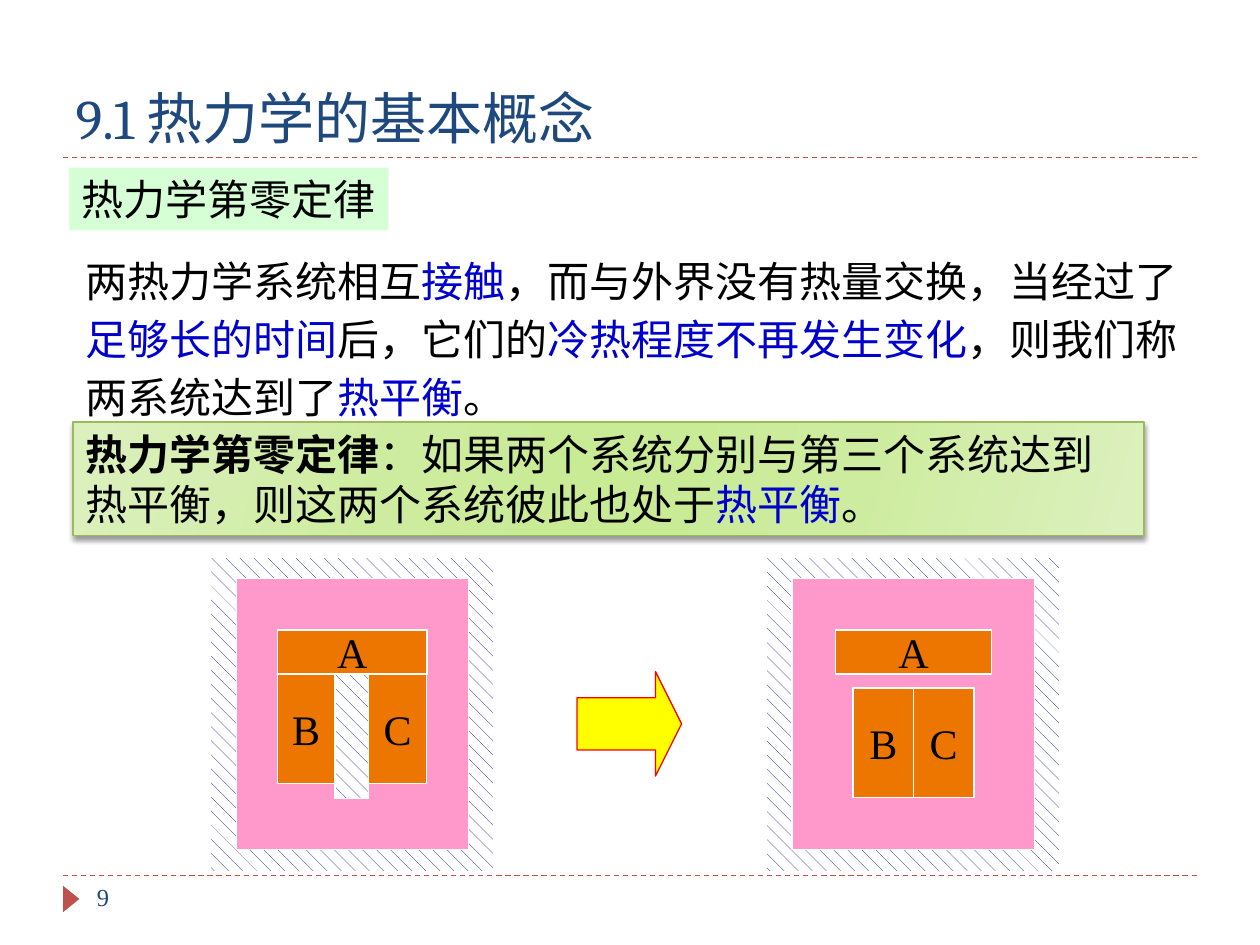
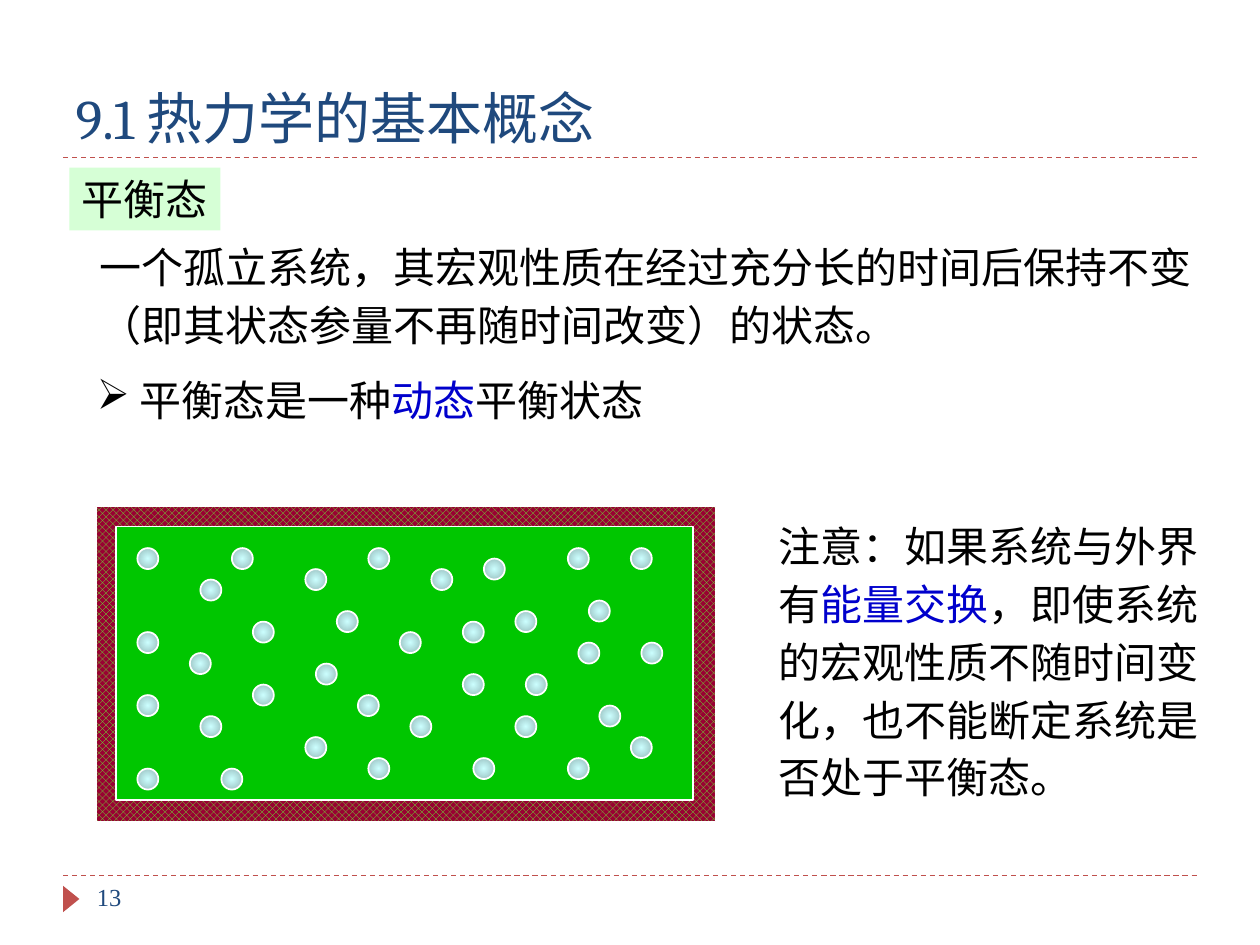
from lxml import etree
from pptx import Presentation
from pptx.dml.color import RGBColor
from pptx.enum.dml import MSO_LINE, MSO_PATTERN
from pptx.enum.shapes import MSO_CONNECTOR, MSO_SHAPE
from pptx.enum.text import MSO_ANCHOR, MSO_AUTO_SIZE, PP_ALIGN
from pptx.oxml.ns import qn
from pptx.util import Inches, Pt

# Enum members
RECT, OVAL = MSO_SHAPE.RECTANGLE, MSO_SHAPE.OVAL
TRIANGLE, ARROW = MSO_SHAPE.ISOSCELES_TRIANGLE, MSO_SHAPE.RIGHT_ARROW
SHINGLE, DIAMONDS = MSO_PATTERN.SHINGLE, MSO_PATTERN.OUTLINED_DIAMOND
STRAIGHT, DASH = MSO_CONNECTOR.STRAIGHT, MSO_LINE.DASH
LEFT, CENTER = PP_ALIGN.LEFT, PP_ALIGN.CENTER
TOP, MIDDLE, BOTTOM = MSO_ANCHOR.TOP, MSO_ANCHOR.MIDDLE, MSO_ANCHOR.BOTTOM
FIXED = MSO_AUTO_SIZE.NONE

# Colours
BLACK = RGBColor(0x00, 0x00, 0x00)
WHITE = RGBColor(0xFF, 0xFF, 0xFF)
NAVY = RGBColor(0x1F, 0x49, 0x7D)
BLUE = RGBColor(0x00, 0x00, 0xCC)
BRICK = RGBColor(0xC0, 0x50, 0x4D)
MINT = RGBColor(0xCC, 0xFF, 0xCC)
OLIVE = RGBColor(0x9B, 0xBB, 0x59)
INK = RGBColor(0x01, 0x01, 0x7D)
PINK = RGBColor(0xFF, 0x99, 0xCC)
ORANGE = RGBColor(0xEC, 0x76, 0x00)
YELLOW = RGBColor(0xFF, 0xFF, 0x00)
RED = RGBColor(0xFF, 0x00, 0x00)
LIME = RGBColor(0x66, 0xFF, 0x33)
WINE = RGBColor(0x99, 0x00, 0x33)
GREEN = RGBColor(0x00, 0xC6, 0x00)
PALE_LEAF = RGBColor(0xDC, 0xF0, 0xBE)
LEAF = RGBColor(0xCE, 0xEC, 0xA0)
DEEP_LEAF = RGBColor(0xC9, 0xEB, 0x96)
ICE = RGBColor(0xCC, 0xFF, 0xFF)
STEEL = RGBColor(0x92, 0xB6, 0xB6)

# The grid has 100 columns and 75 rows of equal size
COLUMNS, ROWS = 100, 75
CELL = Inches(0.1)
CHAPTER = "9.1 热力学的基本概念"

LEAF_STOPS = [(0, PALE_LEAF), (30, LEAF), (45, DEEP_LEAF),
              (55, DEEP_LEAF), (73, LEAF), (100, PALE_LEAF)]

# Molecules of the gas: row -> columns, in steps of half a molecule
STEP = 5 / 6
MOLECULES = {
    0: (0, 9, 22, 41, 47), 1: (33,), 2: (16, 28), 3: (6,), 5: (43,),
    6: (19, 36), 7: (11, 31), 8: (0, 25), 9: (42, 48), 10: (5,), 11: (17,),
    12: (31, 37), 13: (11,), 14: (0, 21), 15: (44,), 16: (6, 26, 36),
    18: (16, 47), 20: (22, 32, 41), 21: (0, 8),
}


def grid(*cells):
    return [round(CELL * cell) for cell in cells]


def child(parent, tag, **attributes):
    element = etree.SubElement(parent, qn(tag))
    for name, value in attributes.items():
        element.set(name, str(value))
    return element


def key(words):
    """A run in the emphasis colour."""
    return words, BLUE, False


class Deck:
    font = "Times New Roman"
    size = 24

    def __init__(self):
        self.show = Presentation()
        self.show.slide_width, self.show.slide_height = grid(COLUMNS, ROWS)
        self.slide = None

    def page(self, number):
        """Start a slide with the shared title, rules and page number."""
        self.slide = self.show.slides.add_slide(self.show.slide_layouts[5])
        for row in (69.5, 12.5):
            self.rule(row)
        marker = self.shape(TRIANGLE, (4.6, 70.7, 2.1, 1.3), BRICK)
        marker.rotation = 90
        title = self.slide.shapes.title
        title.left, title.top, title.width, title.height = grid(5, 2.5, 90, 10)
        self.typeset(title, [CHAPTER], anchor=BOTTOM, size=32, font="Cambria", color=NAVY)
        self.text((6.7, 69.5, 21.7, 4), [str(number)], size=14, color=NAVY)

    def rule(self, row):
        line = self.slide.shapes.add_connector(STRAIGHT, *grid(5, row, 95, row))
        line.line.color.rgb = BRICK
        line.line.width = Pt(0.75)
        line.line.dash_style = DASH
        child(line._element.spPr, "a:effectLst")

    def shape(self, kind, box, fill=None, line=None, weight=0.75):
        shape = self.slide.shapes.add_shape(kind, *grid(*box))
        if fill is not None:
            shape.fill.solid()
            shape.fill.fore_color.rgb = fill
        if line is None:
            shape.line.fill.background()
        else:
            shape.line.color.rgb = line
            shape.line.width = Pt(weight)
        shape.shadow.inherit = False
        return shape

    def hatch(self, box, pattern, front, back, weight=0.75):
        shape = self.shape(RECT, box, line=WHITE, weight=weight)
        shape.fill.patterned()
        shape.fill.pattern = pattern
        shape.fill.fore_color.rgb = front
        shape.fill.back_color.rgb = back

    def gradient(self, shape, stops, angle=None):
        """Linear at the given angle, or from the centre without one."""
        shape.fill.gradient()
        blend = shape._element.spPr.find(qn("a:gradFill"))
        for old in list(blend):
            blend.remove(old)
        stop_list = child(blend, "a:gsLst")
        for share, color in stops:
            stop = child(stop_list, "a:gs", pos=share * 1000)
            child(stop, "a:srgbClr", val=color)
        if angle is None:
            centre = child(blend, "a:path", path="circle")
            child(centre, "a:fillToRect", l=50000, t=50000, r=50000, b=50000)
        else:
            child(blend, "a:lin", ang=angle * 60000, scaled=0)

    def drop_shadow(self, shape):
        effects = shape._element.spPr.find(qn("a:effectLst"))
        shadow = child(effects, "a:outerShdw", blurRad=Pt(3), dist=Pt(2),
                       dir=90 * 60000, rotWithShape=0)
        child(child(shadow, "a:srgbClr", val=BLACK), "a:alpha", val=40000)

    def typeset(self, shape, runs, anchor=TOP, align=LEFT, wrap=True, spacing=None,
                bullet=None, size=size, font=font, color=BLACK):
        frame = shape.text_frame
        frame.word_wrap = wrap
        frame.auto_size = FIXED
        frame.vertical_anchor = anchor
        frame.margin_left = frame.margin_right = Inches(0.1)
        frame.margin_top = frame.margin_bottom = Inches(0.05)
        paragraph = frame.paragraphs[0]
        paragraph.alignment = align
        if spacing:
            paragraph.line_spacing = spacing
        if bullet:
            properties = paragraph._p.get_or_add_pPr()
            indent = Inches(0.34)
            properties.set("marL", str(indent))
            properties.set("indent", str(-indent))
            child(properties, "a:buChar", char=bullet)
        for part in runs:
            words, tint, bold = (part, color, False) if isinstance(part, str) else part
            run = paragraph.add_run()
            run.text = words
            run.font.size = Pt(size)
            run.font.name = font
            run.font.bold = bold
            run.font.color.rgb = tint

    def text(self, box, runs, **style):
        self.typeset(self.slide.shapes.add_textbox(*grid(*box)), runs, **style)

    def topic(self, words):
        """Tinted heading whose width follows its number of characters."""
        tag = self.shape(RECT, (5.5, 13.3, 2 + len(words) * self.size / 7.2, 5), MINT)
        tint = tag._element.spPr.find(qn("a:solidFill"))[0]
        child(tint, "a:alpha", val=80000)
        self.typeset(tag, [words], anchor=MIDDLE, wrap=False)

    def body(self, letter, box):
        block = self.shape(RECT, box, ORANGE, WHITE)
        self.typeset(block, [letter], anchor=MIDDLE, align=CENTER, wrap=False)

    def insulation(self, box):
        self.hatch(box, SHINGLE, INK, WHITE)

    def chamber(self, left, width):
        """Insulated walls around a pink interior."""
        self.insulation((left, 44.2, width, 25))
        self.shape(RECT, (left + 2.05, 45.9, width - 4.05, 21.5), PINK, WHITE)


def zeroth_law(deck):
    deck.page(9)
    deck.topic("热力学第零定律")

    # Statement of the law
    law = deck.shape(RECT, (5.8, 33.5, 85, 9), line=OLIVE)
    deck.gradient(law, LEAF_STOPS, angle=16)
    deck.drop_shadow(law)
    deck.typeset(law, [
        ("热力学第零定律", BLACK, True),
        "：如果两个系统分别与第三个系统达到热平衡，则这两个系统彼此也处于",
        key("热平衡"), "。"])

    # Thermal equilibrium
    deck.text((5.8, 19.2, 89.8, 14.8), [
        "两热力学系统相互", key("接触"), "，而与外界没有热量交换，当经过了",
        key("足够长的时间"), "后，它们的", key("冷热程度不再发生变化"),
        "，则我们称两系统达到了", key("热平衡"), "。"], spacing=1.15)

    # Before: B and C each touch A
    deck.chamber(16.7, 22.5)
    deck.body("A", (22, 50, 11.9, 3.5))
    for letter, left in (("B", 22), ("C", 29.25)):
        deck.body(letter, (left, 53.5, 4.6, 8.7))
    deck.insulation((26.6, 53.5, 2.65, 9.9))

    # After: B and C touch each other
    deck.chamber(60.8, 23.3)
    deck.body("A", (66.3, 50, 12.4, 3.5))
    for letter, left in (("B", 67.7), ("C", 72.5)):
        deck.body(letter, (left, 54.6, 4.8, 8.7))

    step = deck.shape(ARROW, (45.8, 53.3, 8.3, 8.3), YELLOW, RED)
    step.adjustments[0], step.adjustments[1] = 0.5, 0.25


def equilibrium_state(deck):
    deck.page(13)
    deck.topic("平衡态")

    # Definition
    deck.text((6.9, 18.1, 89, 10.2), [
        "一个孤立系统，其宏观性质在经过充分长的时间后保持不变"
        "（即其状态参量不再随时间改变）的状态。"], spacing=1.15)
    deck.text((6.7, 29.2, 58.4, 5),
              ["平衡态是一种", key("动态"), "平衡状态"], bullet="➢")

    # Gas in a closed container
    deck.hatch((7.6, 40.2, 49.2, 25), DIAMONDS, LIME, WINE, weight=1)
    deck.shape(RECT, (9.2, 41.8, 45.8, 21.7), GREEN, WHITE, 1)
    for row, columns in MOLECULES.items():
        for column in columns:
            place = (10.9 + column * STEP, 43.5 + row * STEP, 2 * STEP, 2 * STEP)
            molecule = deck.shape(OVAL, place, line=WHITE, weight=1)
            deck.gradient(molecule, [(0, ICE), (100, STEEL)])

    # Caution
    deck.text((60.8, 40.2, 37, 24), [
        "注意：如果系统与外界有", key("能量交换"),
        "，即使系统的宏观性质不随时间变化，也不能断定系统是否处于平衡态。"],
        spacing=1.15)


def main():
    deck = Deck()
    zeroth_law(deck)
    equilibrium_state(deck)
    deck.show.save("out.pptx")


if __name__ == "__main__":
    main()
